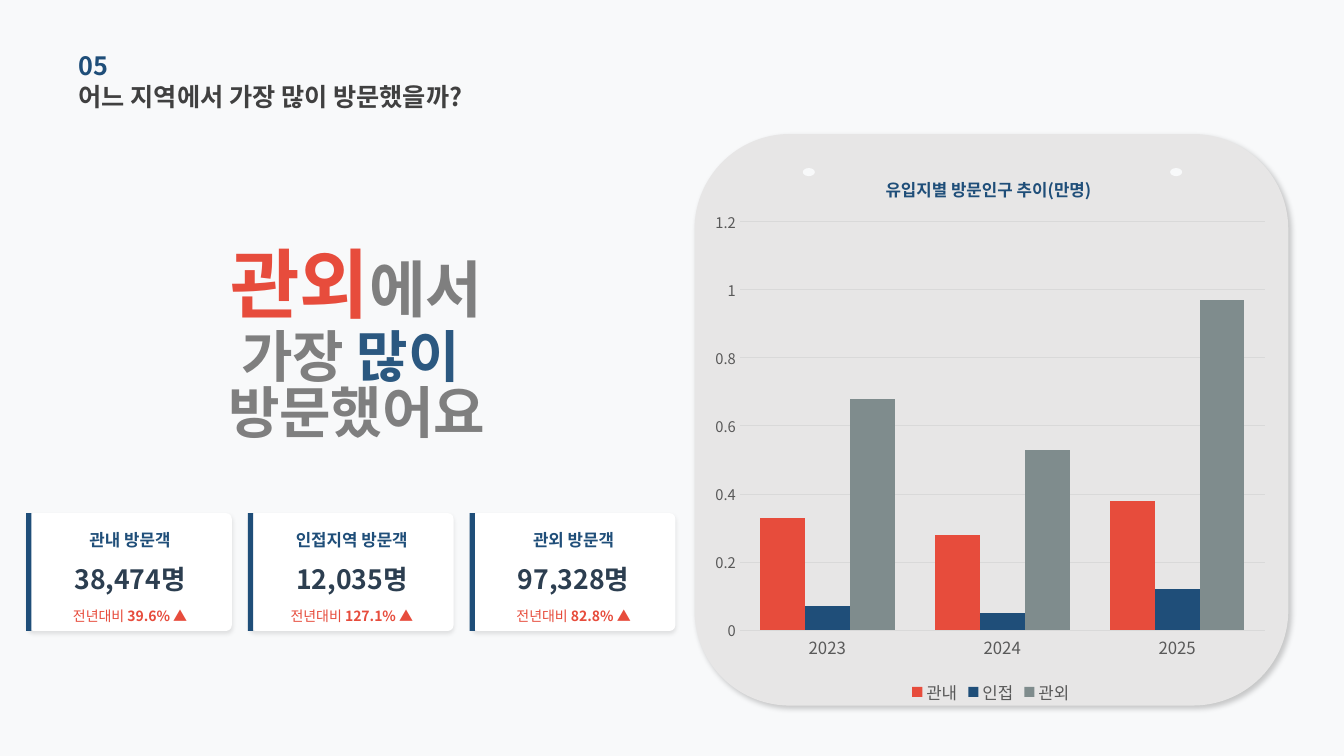
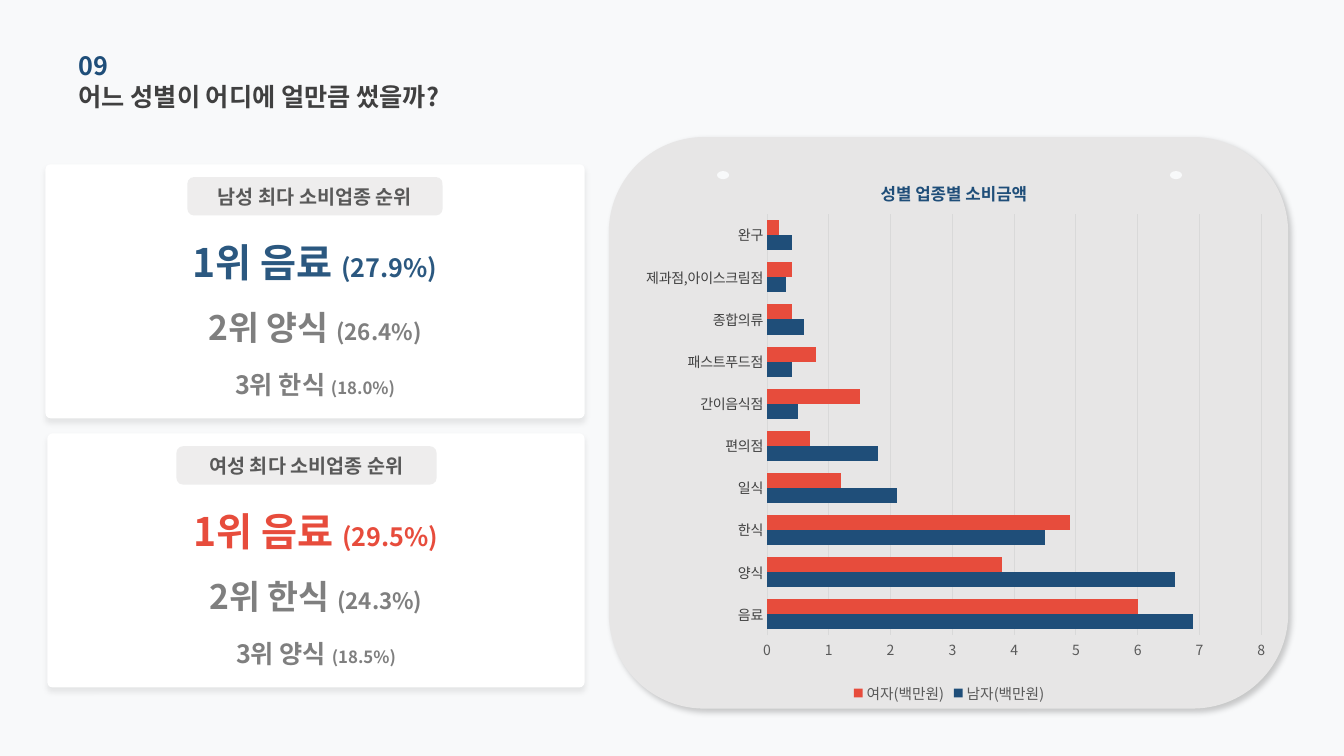
"""Build two report slides on visitor origins and spending by gender."""
from lxml.etree import SubElement, fromstring
from pptx import Presentation
from pptx.chart.data import CategoryChartData
from pptx.dml.color import RGBColor
from pptx.enum.chart import XL_CHART_TYPE, XL_LEGEND_POSITION, XL_TICK_MARK
from pptx.enum.shapes import MSO_SHAPE
from pptx.enum.text import MSO_ANCHOR, PP_ALIGN
from pptx.oxml.ns import nsdecls, qn
from pptx.util import Inches, Pt


class Theme:
    font = "Noto Sans CJK KR"
    paper, panel, card, badge = "F8F9FA", "E7E6E6", "FFFFFF", "D0CECE"
    navy, red, slate, blue = "1F4E79", "E74C3C", "7F8C8D", "2B5880"
    ink, figure, label, quiet, rule = "404040", "2C3E50", "595959", "7F7F7F", "D9D9D9"
    black = "000000"
    heading, chart_title, axis, small = 18, 12, 10.5, 10
    huge, large, slogan = 54, 44, 40
    card_label, card_value, badge_text = 12, 19, 14
    ranks = [(28, 18), (24, 16), (18, 12)]
    panel_shadow, tile_shadow, rank_shadow = (20, 4, 3, 45), (10, 3, 2, 90), (8, 4, 3, 90)


deck = Presentation()
deck.slide_width, deck.slide_height = Inches(13.333), Inches(7.5)
backdrop = deck.slide_master.background.fill
backdrop.solid()
backdrop.fore_color.rgb = RGBColor.from_string(Theme.paper)


def draw(canvas, kind, place, color, shadow=None, radius=None, opacity=None):
    """Add a filled preset shape at a place given in percent of the slide."""
    left, top, width, height = place
    shape = canvas.add_shape(
        kind,
        int(deck.slide_width * left / 100), int(deck.slide_height * top / 100),
        int(deck.slide_width * width / 100), int(deck.slide_height * height / 100))
    shape.shadow.inherit = False
    shape.fill.solid()
    shape.fill.fore_color.rgb = RGBColor.from_string(color)
    shape.line.fill.background()
    if radius is not None:
        shape.adjustments[0] = radius
    if opacity:
        tint = next(shape.element.spPr.iter(qn("a:srgbClr")))
        SubElement(tint, qn("a:alpha"), val=str(opacity * 1000))
    if shadow:
        strength, blur, distance, angle = shadow
        effects = shape.element.spPr.find(qn("a:effectLst"))
        outer = SubElement(effects, qn("a:outerShdw"), blurRad=str(Pt(blur)), dist=str(Pt(distance)),
                           dir=str(angle * 60000), algn="ctr", rotWithShape="0")
        tint = SubElement(outer, qn("a:srgbClr"), val=Theme.black)
        SubElement(tint, qn("a:alpha"), val=str(strength * 1000))
    return shape


def write(canvas, place, lines, align=PP_ALIGN.CENTER, spacing=None, box=None):
    """Write lines of (text, size, color, bold) spans into a box."""
    left, top, width, height = place
    box = box or canvas.add_textbox(
        int(deck.slide_width * left / 100), int(deck.slide_height * top / 100),
        int(deck.slide_width * width / 100), int(deck.slide_height * height / 100))
    frame = box.text_frame
    frame_format = dict(word_wrap=True, vertical_anchor=MSO_ANCHOR.MIDDLE, margin_left=0,
                        margin_right=0, margin_top=0, margin_bottom=0)
    for name, value in frame_format.items():
        setattr(frame, name, value)
    for index, line in enumerate(lines):
        para = frame.add_paragraph() if index else frame.paragraphs[0]
        para.alignment, para.line_spacing = align, spacing
        for text, size, color, bold in line:
            span = para.add_run()
            span.text = text
            for name, value in dict(name=Theme.font, size=Pt(size), bold=bold).items():
                setattr(span.font, name, value)
            span.font.color.rgb = RGBColor.from_string(color)


topics = [
    dict(number="05", heading="어느 지역에서 가장 많이 방문했을까?",
         panel=(51.68, 17.73, 44.18, 75.6), chart=(52.5, 19.73, 42.45, 74),
         kind=XL_CHART_TYPE.COLUMN_CLUSTERED, title="유입지별 방문인구 추이(만명)",
         title_at=(0.31, 0.04), plot_at=(0.06, 0.13, 0.92, 0.73), gap=90, top=1.2, step=0.2,
         category=(12, Theme.label), value=Theme.axis, legend=12,
         categories=["2023", "2024", "2025"],
         series=[("관내", [0.33, 0.28, 0.38], Theme.red),
                 ("인접", [0.07, 0.05, 0.12], Theme.navy),
                 ("관외", [0.68, 0.53, 0.97], Theme.slate)]),
    dict(number="09", heading="어느 성별이 어디에 얼만큼 썼을까?",
         panel=(45.3, 18.13, 50.55, 75.6), chart=(46.43, 20.27, 48.38, 73.33),
         kind=XL_CHART_TYPE.BAR_CLUSTERED, title="성별 업종별 소비금액",
         title_at=(0.39, 0.04), plot_at=(0.22, 0.11, 0.76, 0.76), gap=80, top=8, step=1,
         category=(Theme.small, Theme.ink), value=Theme.small, legend=Theme.axis,
         categories=["음료", "양식", "한식", "일식", "편의점", "간이음식점", "패스트푸드점",
                     "종합의류", "제과점,아이스크림점", "완구"],
         series=[("남자(백만원)", [6.9, 6.6, 4.5, 2.1, 1.8, 0.5, 0.4, 0.6, 0.3, 0.4], Theme.navy),
                 ("여자(백만원)", [6, 3.8, 4.9, 1.2, 0.7, 1.5, 0.8, 0.4, 0.4, 0.2], Theme.red)]),
]

for topic in topics:
    page = deck.slides.add_slide(deck.slide_layouts[6])
    left, top, width, height = topic["panel"]
    draw(page.shapes, MSO_SHAPE.ROUNDED_RECTANGLE, topic["panel"], Theme.panel, Theme.panel_shadow)
    for pin_left in (left + 8.05, left + width - 8.8):
        draw(page.shapes, MSO_SHAPE.OVAL, (pin_left, top + 4.5, 0.9, 1.07), Theme.paper)
    for row, text, color in ((5.87, topic["number"], Theme.navy), (10, topic["heading"], Theme.ink)):
        write(page.shapes, (5.85, row, 39.6, 5.47), [[(text, Theme.heading, color, True)]], PP_ALIGN.LEFT)

    data = CategoryChartData()
    data.categories = topic["categories"]
    for name, values, color in topic["series"]:
        data.add_series(name, values)
    left, top, width, height = topic["chart"]
    chart = page.shapes.add_chart(
        topic["kind"],
        int(deck.slide_width * left / 100), int(deck.slide_height * top / 100),
        int(deck.slide_width * width / 100), int(deck.slide_height * height / 100), data).chart
    chart.has_title = chart.has_legend = True
    chart.chart_title.text_frame.text = topic["title"]
    chart.legend.position, chart.legend.include_in_layout = XL_LEGEND_POSITION.BOTTOM, False

    plot = chart.plots[0]
    for name, value in dict(gap_width=topic["gap"], overlap=0, vary_by_categories=False).items():
        setattr(plot, name, value)
    for series, (name, values, color) in zip(plot.series, topic["series"]):
        series.format.fill.solid()
        series.format.fill.fore_color.rgb = RGBColor.from_string(color)

    scale = chart.value_axis
    limits = dict(minimum_scale=0, maximum_scale=topic["top"], major_unit=topic["step"],
                  has_major_gridlines=True)
    for name, value in limits.items():
        setattr(scale, name, value)
    scale.format.line.fill.background()
    for axis in (scale, chart.category_axis):
        axis.major_tick_mark = axis.minor_tick_mark = XL_TICK_MARK.NONE
    for line in (scale.major_gridlines.format.line, chart.category_axis.format.line):
        line.color.rgb, line.width = RGBColor.from_string(Theme.rule), Pt(0.75)

    category_size, category_color = topic["category"]
    chart_fonts = [
        (chart.font, Theme.small, Theme.black, False),
        (chart.chart_title.text_frame.paragraphs[0].runs[0].font, Theme.chart_title, Theme.navy, True),
        (chart.category_axis.tick_labels.font, category_size, category_color, False),
        (scale.tick_labels.font, topic["value"], Theme.label, False),
        (chart.legend.font, topic["legend"], Theme.label, False),
    ]
    for font, size, color, bold in chart_fonts:
        for name, value in dict(name=Theme.font, size=Pt(size), bold=bold).items():
            setattr(font, name, value)
        font.color.rgb = RGBColor.from_string(color)

    plot_area = next(chart.element.iter(qn("c:plotArea")))
    for owner, position, shares in ((chart.chart_title.element, 1, topic["title_at"]),
                                    (plot_area, 0, topic["plot_at"])):
        for old in owner.findall(qn("c:layout")):
            owner.remove(old)
        layout = fromstring(f"<c:layout {nsdecls('c')}><c:manualLayout/></c:layout>")
        if owner is plot_area:
            SubElement(layout[0], qn("c:layoutTarget"), val="inner")
        for side in "xy":
            SubElement(layout[0], qn(f"c:{side}Mode"), val="edge")
        for side, share in zip("xywh", shares):
            SubElement(layout[0], qn(f"c:{side}"), val=str(share))
        owner.insert(position, layout)
    for latin in list(chart.element.iter(qn("a:latin"))):
        latin.addnext(fromstring(f'<a:ea {nsdecls("a")} typeface="{Theme.font}"/>'))

visitors, spending = deck.slides

write(visitors.shapes, (10.43, 34.13, 32.18, 6.4),
      [[("관외", Theme.huge, Theme.red, True), ("에서", Theme.large, Theme.quiet, True)]])
write(visitors.shapes, (5.85, 45.87, 41.4, 11.2),
      [[("가장", Theme.slogan, Theme.quiet, True), (" 많이 ", Theme.slogan, Theme.blue, True)],
       [("방문했어요", Theme.slogan, Theme.quiet, True)]], spacing=0.83)

tiles = [("관내 방문객", "38,474명", "39.6% ▲"),
         ("인접지역 방문객", "12,035명", "127.1% ▲"),
         ("관외 방문객", "97,328명", "82.8% ▲")]
for column, (label, count, change) in enumerate(tiles):
    left, top, width, height = 2.1 + 16.5 * column, 67.87, 15.15, 15.6
    draw(visitors.shapes, MSO_SHAPE.ROUNDED_RECTANGLE, (left, top, width, height),
         Theme.card, Theme.tile_shadow, 0.05)
    draw(visitors.shapes, MSO_SHAPE.RECTANGLE, (left - 0.15, top, 0.38, height), Theme.navy)
    rows = [(2.13, 2.93, [(label, Theme.card_label, Theme.navy, True)]),
            (6.4, 4.53, [(count, Theme.card_value, Theme.figure, True)]),
            (12.27, 2.67, [("전년대비 ", Theme.small, Theme.red, False),
                           (change, Theme.small, Theme.red, True)])]
    for offset, row_height, spans in rows:
        write(visitors.shapes, (left, top + offset, width, row_height), [spans])

rankings = [
    ("남성 최다 소비업종 순위", Theme.blue, (3.38, 21.73), (13.95, 18.98),
     [("1위 음료 ", "(27.9%)"), ("2위 양식 ", "(26.4%)"), ("3위 한식 ", "(18.0%)")]),
    ("여성 최다 소비업종 순위", Theme.red, (3.53, 57.33), (13.13, 19.35),
     [("1위 음료 ", "(29.5%)"), ("2위 한식 ", "(24.3%)"), ("3위 양식 ", "(18.5%)")]),
]
for caption, accent, (left, top), (badge_left, badge_width), ranks in rankings:
    group = spending.shapes.add_group_shape().shapes
    width = 43.5 - left
    draw(group, MSO_SHAPE.ROUNDED_RECTANGLE, (left, top, width, 33.6),
         Theme.card, Theme.rank_shadow, 0.02)
    badge_place = (badge_left, top + 1.7, badge_width, 5.07)
    badge = draw(group, MSO_SHAPE.ROUNDED_RECTANGLE, badge_place, Theme.badge, opacity=36)
    write(group, badge_place, [[(caption, Theme.badge_text, Theme.label, True)]], box=badge)
    rows = [(9.73, 6.4, accent), (15.87, 11.2, Theme.quiet), (23.47, 11.2, Theme.quiet)]
    for (offset, height, color), (name, share), (size, share_size) in zip(rows, ranks, Theme.ranks):
        write(group, (left, top + offset, width, height),
              [[(name, size, color, True), (share, share_size, color, True)]])

for page in deck.slides:
    for latin in list(page.element.iter(qn("a:latin"))):
        latin.addnext(fromstring(f'<a:ea {nsdecls("a")} typeface="{Theme.font}"/>'))

deck.save("out.pptx")
